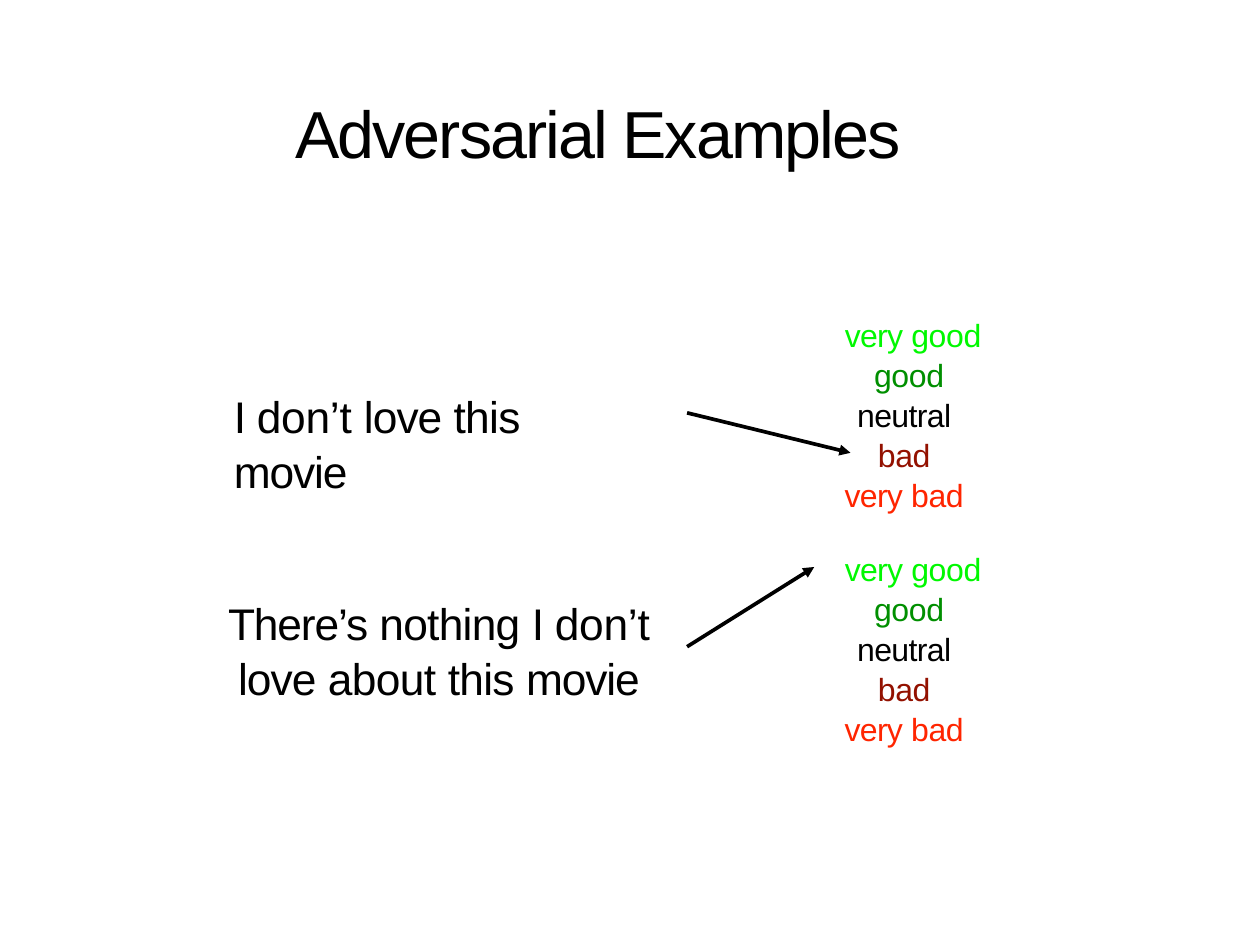
"""Build the slide on adversarial examples for sentiment labels."""
from typing import NamedTuple

from lxml import etree
from pptx import Presentation
from pptx import util as u
from pptx.dml.color import RGBColor
from pptx.enum import shapes, text
from pptx.oxml import ns

BLACK = RGBColor(0x00, 0x00, 0x00)
BRIGHT_GREEN = RGBColor(0x00, 0xF8, 0x00)
DARK_GREEN = RGBColor(0x00, 0x8F, 0x00)
DARK_RED = RGBColor(0x93, 0x11, 0x00)
BRIGHT_RED = RGBColor(0xFF, 0x25, 0x00)

SLIDE_WIDTH, SLIDE_HEIGHT = u.Inches(14.22), u.Inches(10.67)
COLUMNS, ROWS = 64, 48
LEFT, CENTER = text.PP_ALIGN.LEFT, text.PP_ALIGN.CENTER


class Word(NamedTuple):
    content: str
    spacing: float


class Line(NamedTuple):
    words: list[Word]
    color: RGBColor = BLACK
    right_indent: float = 0


class Block(NamedTuple):
    column: float
    row: float
    width: float
    height: float
    size: int
    alignment: text.PP_ALIGN
    lines: list[Line]


class Arrow(NamedTuple):
    start: tuple[float, float]
    end: tuple[float, float]


LABELS = [
    Line([Word("very ", -0.6), Word("good", -0.3)], BRIGHT_GREEN),
    Line([Word("good", -0.3)], DARK_GREEN, 0.4),
    Line([Word("neutral", -0.5)], BLACK, 0.9),
    Line([Word("bad", -0.3)], DARK_RED),
    Line([Word("very ", -0.6), Word("bad", -0.3)], BRIGHT_RED),
]
LABEL_ROWS = (15.84, 27.72)

TITLE = Block(15, 4.4, 34, 4.14, 54, LEFT,
              [Line([Word("Adversarial Examples", -1.6)])])
NEGATED = Block(11.88, 19.53, 20, 5.54, 36, LEFT, [
    Line([Word("I ", -1.4), Word("don’t ", -0.2), Word("love ", -0.8),
          Word("this ", -0.6), Word("movie", -0.9)]),
])
DOUBLE_NEGATED = Block(11.52, 30.06, 21.56, 5.54, 36, CENTER, [
    Line([Word("There’s ", -0.9), Word("nothing ", -0.6), Word("I ", -1.4),
          Word("don’t", -0.2)]),
    Line([Word("love ", -0.8), Word("about ", -0.5), Word("this ", -0.6),
          Word("movie", -0.9)]),
])
BLOCKS = [TITLE, NEGATED, DOUBLE_NEGATED] + [
    Block(42.38, row, 8, 9.9, 26, CENTER, LABELS) for row in LABEL_ROWS
]
ARROWS = [Arrow((34.9, 20.97), (43.2, 23)), Arrow((34.9, 32.85), (41.36, 28.8))]

FRAME_FORMAT = {
    "word_wrap": True,
    "margin_left": 0,
    "margin_right": 0,
    "margin_top": u.Pt(2),
    "margin_bottom": 0,
    "vertical_anchor": text.MSO_ANCHOR.TOP,
}


def apply_format(target: object, values: dict) -> None:
    for name, value in values.items():
        setattr(target, name, value)


def across(columns: float) -> int:
    return round(SLIDE_WIDTH * columns / COLUMNS)


def down(rows: float) -> int:
    return round(SLIDE_HEIGHT * rows / ROWS)


def draw_block(slide, block: Block) -> None:
    shape = slide.shapes.add_textbox(across(block.column), down(block.row),
                                     across(block.width), down(block.height))
    frame = shape.text_frame
    apply_format(frame, FRAME_FORMAT)
    for index, line in enumerate(block.lines):
        paragraph = frame.add_paragraph() if index else frame.paragraphs[0]
        apply_format(paragraph, {"alignment": block.alignment, "line_spacing": 1.04})
        if line.right_indent:
            properties = paragraph._p.get_or_add_pPr()
            properties.set("marR", str(across(line.right_indent)))
        for word in line.words:
            run = paragraph.add_run()
            run.text = word.content
            apply_format(run.font, {"name": "Arial", "size": u.Pt(block.size)})
            run.font.color.rgb = line.color
            run._r.get_or_add_rPr().set("spc", str(round(word.spacing * 100)))


def draw_arrow(slide, arrow: Arrow) -> None:
    connector = slide.shapes.add_connector(
        shapes.MSO_CONNECTOR.STRAIGHT,
        across(arrow.start[0]), down(arrow.start[1]),
        across(arrow.end[0]), down(arrow.end[1]))
    connector.line.color.rgb = BLACK
    connector.line.width = u.Pt(3)
    etree.SubElement(connector.line._get_or_add_ln(), ns.qn("a:tailEnd"), type="triangle")
    etree.SubElement(connector._element.spPr, ns.qn("a:effectLst"))


def main() -> None:
    presentation = Presentation()
    apply_format(presentation, {"slide_width": SLIDE_WIDTH, "slide_height": SLIDE_HEIGHT})
    slide = presentation.slides.add_slide(presentation.slide_layouts[6])
    for block in BLOCKS:
        draw_block(slide, block)
    for arrow in ARROWS:
        draw_arrow(slide, arrow)
    presentation.save("out.pptx")


if __name__ == "__main__":
    main()
